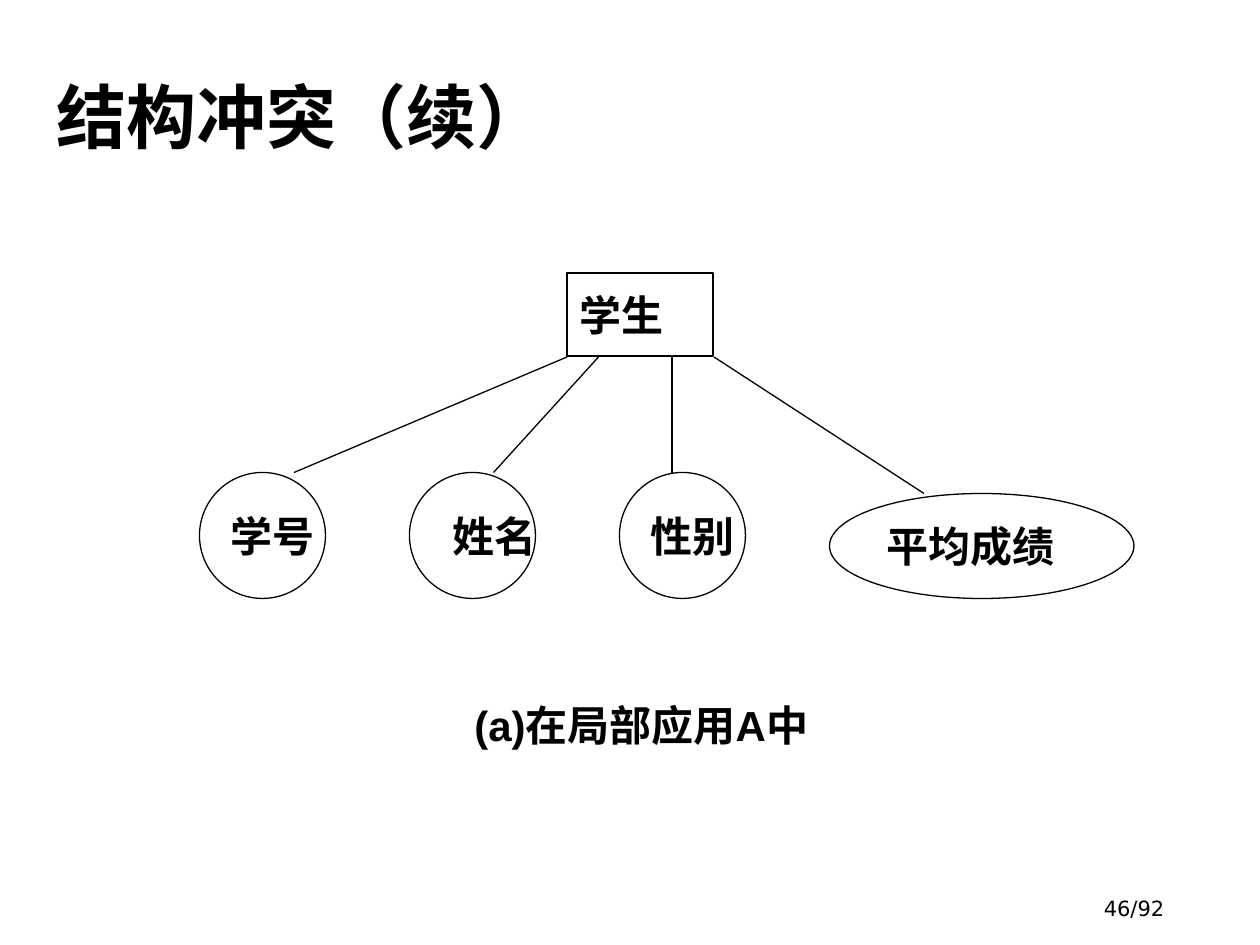
from lxml import etree
from pptx import Presentation
from pptx.dml import color
from pptx.enum import shapes, text
from pptx.oxml import ns
from pptx.util import Pt


def rgb(code):
    return color.RGBColor.from_string(code)


def write(shape, words, size=24, font="Arial", bold=True, ink="000000",
          align="LEFT", anchor="MIDDLE", wrap=False, indent=0):
    frame = shape.text_frame
    frame.word_wrap = wrap
    frame.vertical_anchor = getattr(text.MSO_ANCHOR, anchor)
    frame.margin_left = Pt(7.2 + indent)
    frame.margin_right = Pt(7.2)
    frame.margin_top = frame.margin_bottom = Pt(3.6)
    para = frame.paragraphs[0]
    para.alignment = getattr(text.PP_ALIGN, align)
    run = para.add_run()
    run.text = words
    run.font.size = Pt(size)
    run.font.name = font
    run.font.bold = bold
    run.font.color.rgb = rgb(ink)


class Page:
    """Line style and the slide being drawn."""

    def __init__(self, slide, ink="000000", width=0.75):
        self.slide = slide
        self.ink = ink
        self.width = width

    def stroke(self, line):
        line.color.rgb = rgb(self.ink)
        line.width = Pt(self.width)

    def label(self, words, box, **style):
        shape = self.slide.shapes.add_textbox(*map(Pt, box))
        write(shape, words, **style)

    def node(self, kind, words, box, **style):
        shape = self.slide.shapes.add_shape(kind, *map(Pt, box))
        shape.shadow.inherit = False
        shape.fill.background()
        self.stroke(shape.line)
        write(shape, words, **style)

    def link(self, start, end):
        line = self.slide.shapes.add_connector(
            shapes.MSO_CONNECTOR.STRAIGHT, *map(Pt, start + end))
        self.stroke(line.line)
        props = line.element.find(ns.qn("p:spPr"))
        etree.SubElement(props, ns.qn("a:effectLst"))


def main():
    deck = Presentation()
    deck.slide_width, deck.slide_height = Pt(720), Pt(540)
    page = Page(deck.slides.add_slide(deck.slide_layouts[6]))
    rect, oval = shapes.MSO_SHAPE.RECTANGLE, shapes.MSO_SHAPE.OVAL

    page.label("46/92", (516, 508.3, 156.4, 20.9), size=12, bold=False,
               font="DejaVu Sans", align="RIGHT", anchor="TOP", wrap=True)
    page.label("结构冲突（续）", (25.2, 20.2, 669, 73.4), size=40,
               font="DejaVu Sans", anchor="BOTTOM", wrap=True)

    page.node(rect, "学生", (324, 156, 83.5, 47.5))
    fields = [("学号", 0), ("姓名", 6.67), ("性别", 0)]
    for i, (name, indent) in enumerate(fields):
        page.node(oval, name, (114 + 120 * i, 270, 72, 72), indent=indent)
    page.node(oval, "平均成绩", (474, 282, 174, 60))

    for top, foot in [(324, (168, 270)), (342, (282, 270)),
                      (384, (384, 270)), (408, (528, 282))]:
        page.link((top, 204), foot)

    page.label("(a)在局部应用A中", (264, 390, 234, 48))
    deck.save("out.pptx")


if __name__ == "__main__":
    main()
